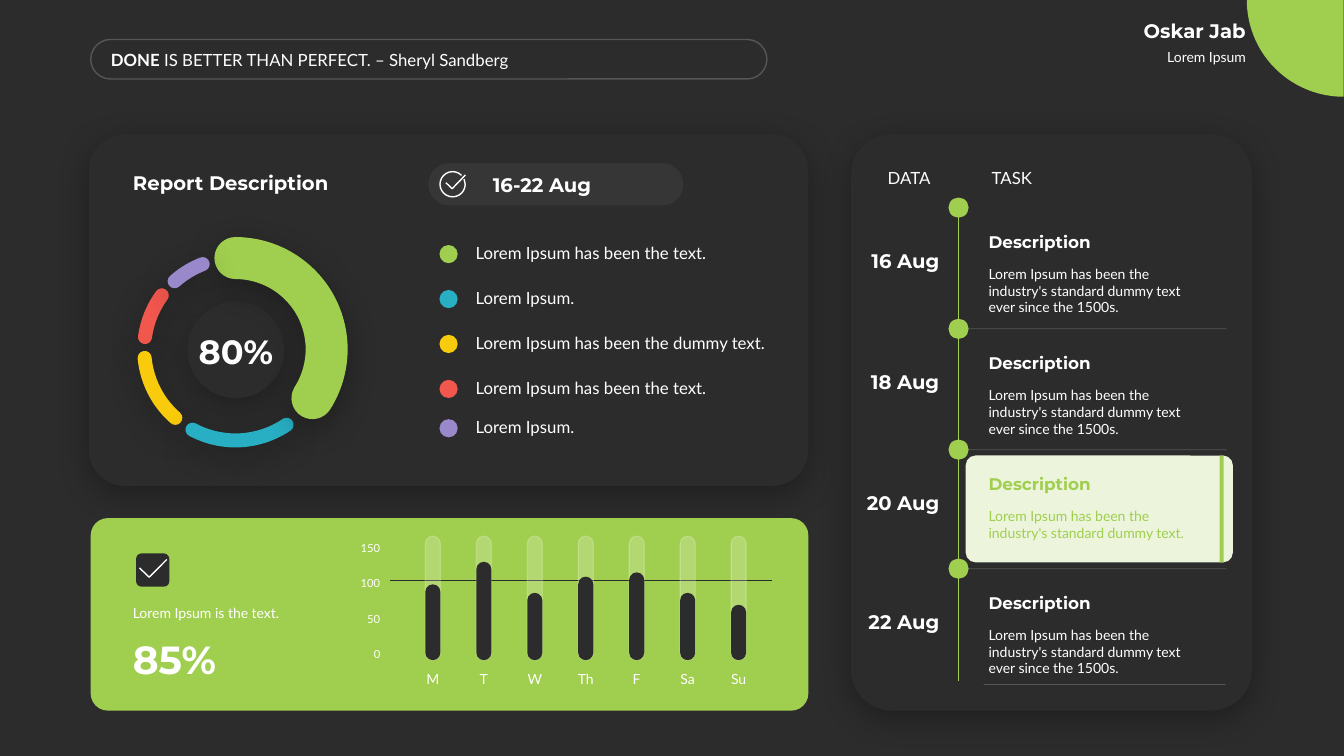
from lxml.etree import SubElement
from pptx import Presentation
from pptx.dml.color import RGBColor
from pptx.enum.shapes import MSO_CONNECTOR, MSO_SHAPE as Preset
from pptx.enum.text import MSO_ANCHOR as Anchor, MSO_AUTO_SIZE as AutoSize, PP_ALIGN as Align
from pptx.oxml.ns import qn
from pptx.util import Pt

DARK, GREEN, WHITE, PALE = "2C2C2C", "A0CE4E", "FFFFFF", "ECF5DC"
TEAL, YELLOW, RED, PURPLE = "28AFC3", "F8CB0C", "F1574D", "9989CA"


def paint(fill, hex_color, parent=None, alpha=100):
    """Solid fill; parent is the XML element that holds it."""
    fill.solid()
    fill.fore_color.rgb = RGBColor.from_string(hex_color)
    if alpha < 100:
        color = parent.find(qn("a:solidFill"))[0]
        SubElement(color, qn("a:alpha"), val=str(alpha * 1000))


class Dashboard:
    body_font, head_font = "Lato", "Montserrat"

    def __init__(self, slide):
        self.slide = slide
        self.shapes = slide.shapes
        paint(slide.background.fill, DARK)

    def finish(self, shape, fill=None, line=None, width=1, alpha=100,
               line_alpha=100, shadow=False, cap=None):
        props = shape.element.spPr
        shape.shadow.inherit = False
        if fill:
            paint(shape.fill, fill, props, alpha)
        else:
            shape.fill.background()
        if line:
            self.stroke(shape, line, width, line_alpha)
            if cap:
                props.find(qn("a:ln")).set("cap", cap)
        else:
            shape.line.fill.background()
        if shadow:
            outer = SubElement(props.find(qn("a:effectLst")), qn("a:outerShdw"),
                               blurRad=str(Pt(23)), dist=str(Pt(6)), dir="5400000",
                               algn="t", rotWithShape="0")
            black = SubElement(outer, qn("a:srgbClr"), val="000000")
            SubElement(black, qn("a:alpha"), val="30000")
        return shape

    def stroke(self, item, color, width, alpha=100):
        item.line.width = Pt(width)
        paint(item.line.fill, color, item.element.spPr.find(qn("a:ln")), alpha)

    def shape(self, preset, x, y, w, h, adjust=(), **look):
        shape = self.shapes.add_shape(preset, Pt(x), Pt(y), Pt(w), Pt(h))
        for index, value in enumerate(adjust):
            shape.adjustments[index] = value
        return self.finish(shape, **look)

    def arc(self, x, y, size, start, end, **look):
        """Arc between two angles in degrees, clockwise from the right."""
        return self.shape(Preset.ARC, x, y, size, size, (start * .6, end * .6), **look)

    def dot(self, x, y, size, color, **look):
        return self.shape(Preset.OVAL, x, y, size, size, fill=color, **look)

    def tick(self, *points):
        start, *rest = [(Pt(x), Pt(y)) for x, y in points]
        builder = self.shapes.build_freeform(*start, scale=1.0)
        builder.add_line_segments(rest, close=False)
        return self.finish(builder.convert_to_shape(), line=WHITE)

    def line(self, x1, y1, x2, y2, color, alpha=100):
        line = self.shapes.add_connector(
            MSO_CONNECTOR.STRAIGHT, Pt(x1), Pt(y1), Pt(x2), Pt(y2))
        self.stroke(line, color, .5, alpha)
        SubElement(line.element.spPr, qn("a:effectLst"))

    def set_text(self, box, lines, size=12, color=WHITE, head=False, align=Align.LEFT,
                 anchor=Anchor.TOP, inset=7.2, gaps=(0,), fit=AutoSize.SHAPE_TO_FIT_TEXT):
        """Each line is a string or a list of (text, bold) pairs."""
        frame = box.text_frame
        layout = {"word_wrap": True, "auto_size": fit, "vertical_anchor": anchor,
                  "margin_left": Pt(inset), "margin_right": Pt(inset),
                  "margin_top": Pt(3.6), "margin_bottom": Pt(3.6)}
        for name, value in layout.items():
            setattr(frame, name, value)
        for index, (line, gap) in enumerate(zip(lines, gaps)):
            paragraph = frame.add_paragraph() if index else frame.paragraphs[0]
            spacing = {"alignment": align, "space_before": Pt(gap), "space_after": Pt(0)}
            for name, value in spacing.items():
                setattr(paragraph, name, value)
            for text, bold in [(line, head)] if isinstance(line, str) else line:
                run = paragraph.add_run()
                run.text = text
                style = {"name": self.head_font if head else self.body_font,
                         "size": Pt(size), "bold": bold}
                for name, value in style.items():
                    setattr(run.font, name, value)
                paint(run.font.fill, color)

    def text(self, x, y, w, h, line, **style):
        self.set_text(self.shapes.add_textbox(Pt(x), Pt(y), Pt(w), Pt(h)), [line], **style)

    def placeholder(self, index, x, y, w, h, lines, **style):
        """Move a template placeholder to the front and fill it."""
        holder = self.slide.placeholders[index]
        self.shapes.element.append(holder.element)
        place = {"left": x, "top": y, "width": w, "height": h}
        for name, value in place.items():
            setattr(holder, name, Pt(value))
        self.set_text(holder, lines, fit=AutoSize.NONE, **style)
        for paragraph in holder.text_frame.paragraphs:
            props = paragraph._p.get_or_add_pPr()
            props.set("marL", "0")
            props.set("indent", "0")
            SubElement(props, qn("a:buNone"))


def draw_header(board):
    board.arc(890.6, -69.1, 138.2, 90, 180, fill=GREEN)
    board.text(730, 31, 167, 19.4, "Lorem Ipsum", size=10, align=Align.RIGHT)
    board.text(730, 9.4, 167, 24.5, "Oskar Jab", size=14, head=True,
               align=Align.RIGHT, anchor=Anchor.BOTTOM)
    board.shape(Preset.ROUNDED_RECTANGLE, 64.8, 28.2, 483, 28.2, (.5,),
                line=WHITE, line_alpha=20)
    board.text(76.3, 31.8, 406, 21.6,
               [("DONE", True), (" IS BETTER THAN PERFECT. – Sheryl Sandberg", False)],
               anchor=Anchor.MIDDLE, inset=2.9)


def draw_report(board):
    board.shape(Preset.ROUNDED_RECTANGLE, 63.4, 95.8, 514, 251.3, (.103,),
                fill=DARK, shadow=True)
    board.placeholder(0, 87.8, 118.1, 253.4, 24.5, ["Report Description"],
                      size=14, head=True, anchor=Anchor.BOTTOM)
    # Week badge
    board.shape(Preset.ROUNDED_RECTANGLE, 306, 116.6, 182.2, 30.2, (.5,),
                fill=WHITE, alpha=5)
    board.arc(314.3, 122.6, 18, 336, 315, line=WHITE)
    board.tick((318.5, 130.5), (323, 134.8), (332.5, 125))
    board.text(344.9, 119.5, 135.4, 24.5, "16-22 Aug", size=14, head=True,
               anchor=Anchor.MIDDLE)
    # Ring
    board.dot(133.9, 215.3, 69.1, DARK, shadow=True)
    board.text(129.6, 232.6, 77.8, 36, "80%", size=24, head=True,
               align=Align.CENTER, anchor=Anchor.BOTTOM)
    for start, end, color, width in [
            (187.7, 216.2, RED, 10), (131.2, 174.5, YELLOW, 10),
            (55.9, 118.1, TEAL, 10), (270, 32.4, GREEN, 30), (228.2, 249, PURPLE, 10)]:
        board.arc(103, 184.3, 130.3, start, end, line=color, width=width,
                  cap="rnd", shadow=True)
    # Legend
    long_text, short_text = "Lorem Ipsum has been the text.", "Lorem Ipsum."
    legend = [long_text, short_text, "Lorem Ipsum has been the dummy text.",
              long_text, short_text]
    gaps = [0, 17.7, 17.7, 17.7, 13.7]
    board.placeholder(1, 332.6, 169.9, 227.5, 146.2, legend, gaps=gaps)
    line_height, y = 14.4, 160.6
    for color, gap in zip([GREEN, TEAL, YELLOW, RED, PURPLE], gaps):
        y += gap + line_height
        board.dot(313.9, y, 13, color)


def draw_week(board):
    board.shape(Preset.ROUNDED_RECTANGLE, 64.8, 370.1, 512.6, 137.5, (.089,), fill=GREEN)
    board.shape(Preset.ROUNDED_RECTANGLE, 97.2, 395.3, 23.8, 23.8, fill=DARK)
    board.tick((99.7, 405.7), (106.6, 412.3), (119.2, 399.6))
    board.text(87.8, 427.7, 135.4, 19.4, "Lorem Ipsum is the text.", size=10,
               anchor=Anchor.BOTTOM)
    board.text(87.8, 450, 135.4, 41, "85%", size=28, head=True)
    # Daily bars
    zero, unit, base, full, bar = 467.3, .504, 471.6, 88.6, 10.8
    board.line(278.6, 414.7, 551.5, 414.7, DARK)
    for value in range(0, 151, 50):
        board.text(243.4, zero - value * unit - 8.6, 35.3, 17.3, str(value), size=8,
                   align=Align.RIGHT)
    days = {"M": 99, "T": 131, "W": 87, "Th": 110, "F": 116, "Sa": 87, "Su": 70}
    for index, (day, value) in enumerate(days.items()):
        center = 309.2 + 36.4 * index
        height = base - zero + value * unit
        board.shape(Preset.ROUNDED_RECTANGLE, center - bar / 2, base - full, bar, full,
                    (.5,), fill=WHITE, alpha=20, line=WHITE, line_alpha=20)
        board.shape(Preset.ROUNDED_RECTANGLE, center - bar / 2, base - height, bar,
                    height, (.5,), fill=DARK)
        board.text(center - 14, 475.2, 28, 19.4, day, size=10, align=Align.CENTER, inset=0)


def draw_tasks(board):
    board.shape(Preset.ROUNDED_RECTANGLE, 607.7, 95.8, 286.6, 411.8, (.103,),
                fill=DARK, shadow=True)
    board.shape(Preset.ROUNDED_RECTANGLE, 689.8, 325.4, 190.8, 76.3, (.091,), fill=PALE)
    board.text(612.7, 115.9, 59, 21.6, "DATA", align=Align.RIGHT, anchor=Anchor.MIDDLE)
    board.text(701.3, 115.9, 126.7, 21.6, "TASK", anchor=Anchor.MIDDLE)
    # Timeline rows
    task = "Lorem Ipsum has been the industry's standard dummy text"
    for date, top, ending, color in [
            ("16 Aug", 141.1, " ever since the 1500s.", WHITE),
            ("18 Aug", 227.7, " ever since the 1500s.", WHITE),
            ("20 Aug", 314, ".", GREEN),
            ("22 Aug", 399, " ever since the 1500s.", WHITE)]:
        if date != "16 Aug":
            board.line(692, top + 7.2, 876.2, top + 7.2, WHITE, 20)
        board.line(684.7, top + 10, 684.7, top + 87.1, GREEN)
        board.dot(677.5, top, 14.4, GREEN)
        board.text(613.4, top + 32.6, 60.5, 24.5, date, size=14, head=True,
                   align=Align.RIGHT, anchor=Anchor.BOTTOM, inset=2.9)
        board.text(699.1, top + 20.9, 170.6, 21.6, "Description", color=color,
                   head=True, anchor=Anchor.BOTTOM)
        board.text(699.1, top + 44.8, 170.6, 31.7 if ending == "." else 43.9,
                   task + ending, size=10, color=color)
    board.line(702.7, 488.9, 875.5, 488.9, WHITE, 20)
    board.shape(Preset.RECTANGLE, 871.2, 325.4, 2.9, 76.3, fill=GREEN)


def main():
    deck = Presentation()
    deck.slide_width, deck.slide_height = Pt(960), Pt(540)
    board = Dashboard(deck.slides.add_slide(deck.slide_layouts[1]))
    for draw in (draw_header, draw_report, draw_week, draw_tasks):
        draw(board)
    deck.save("out.pptx")


if __name__ == "__main__":
    main()
